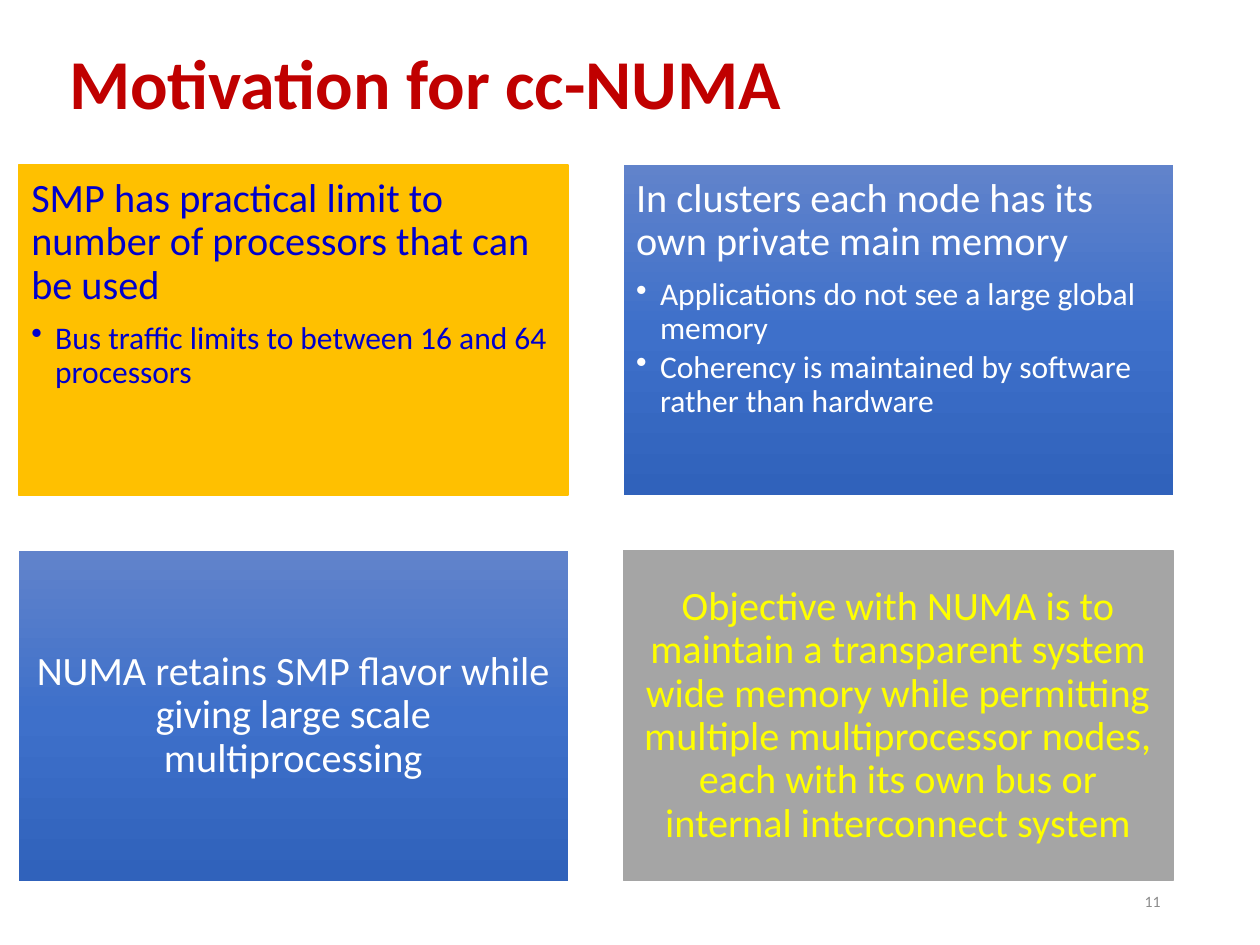
from copy import deepcopy

from lxml.etree import SubElement
from pptx import Presentation
from pptx.dml.color import RGBColor
from pptx.enum.shapes import MSO_SHAPE as Shape
from pptx.enum.text import MSO_ANCHOR as Anchor, PP_ALIGN as Align
from pptx.oxml.ns import qn
from pptx.util import Inches, Pt

BLUE_GRADIENT = ("6183CB", "3E70CA", "3062BB")


def color(hex_code):
    """Turn a hex string into a colour."""
    return RGBColor.from_string(hex_code)


def write(paragraph, text, size, ink, font="Calibri", bold=False,
          align=Align.LEFT, spacing=0.9, after=0, bullet=False):
    """Fill a paragraph with one formatted run."""
    paragraph.alignment = align
    paragraph.line_spacing = spacing
    paragraph.space_after = Pt(after)
    run = paragraph.add_run()
    run.text = text
    run.font.name, run.font.size, run.font.bold = font, Pt(size), bold
    run.font.color.rgb = color(ink)
    if bullet:
        props = paragraph._p.get_or_add_pPr()
        props.set("marL", str(Inches(0.19)))
        props.set("indent", str(-Inches(0.19)))
        SubElement(props, qn("a:buChar")).set("char", "•")


class SlideBuilder:
    """Holds the slide and its text style."""

    head_size, point_size = 23, 18

    def __init__(self, slide):
        """Keep the slide to draw on."""
        self.slide = slide

    def label(self, text, left, top, width, height, **style):
        """Add a vertically centred line of text."""
        frame = self.slide.shapes.add_textbox(
            Inches(left), Inches(top), Inches(width), Inches(height)).text_frame
        frame.word_wrap = True
        frame.vertical_anchor = Anchor.MIDDLE
        write(frame.paragraphs[0], text, **style)

    def paint(self, panel, fill):
        """Give a panel a solid colour with outline, or a vertical gradient."""
        if isinstance(fill, str):
            panel.fill.solid()
            panel.fill.fore_color.rgb = panel.line.color.rgb = color(fill)
            panel.line.width = Pt(0.75)
            return
        panel.line.fill.background()
        panel.fill.gradient()
        panel.fill.gradient_angle = 270
        stop_list = panel.element.spPr.find(qn("a:gradFill")).find(qn("a:gsLst"))
        stop_list.append(deepcopy(stop_list[0]))
        for index, (stop, tone) in enumerate(zip(panel.fill.gradient_stops, fill)):
            stop.position = index / (len(fill) - 1)
            stop.color.rgb = color(tone)

    def panel(self, left, top, width, height, fill, ink, head, points=()):
        """Add a panel: a heading with bullets, or a centred statement."""
        panel = self.slide.shapes.add_shape(
            Shape.RECTANGLE, Inches(left), Inches(top), Inches(width), Inches(height))
        panel.shadow.inherit = False
        self.paint(panel, fill)
        frame = panel.text_frame
        frame.word_wrap = True
        frame.margin_left = frame.margin_right = Inches(0.1)
        frame.margin_top = frame.margin_bottom = Inches(0.1)
        frame.vertical_anchor = Anchor.TOP if points else Anchor.MIDDLE
        write(frame.paragraphs[0], head, self.head_size, ink,
              align=Align.LEFT if points else Align.CENTER,
              after=0.35 * self.head_size)
        for point in points:
            write(frame.add_paragraph(), point, self.point_size, ink,
                  after=0.15 * self.point_size, bullet=True)


deck = Presentation()
deck.slide_width, deck.slide_height = Inches(10), Inches(7.5)
builder = SlideBuilder(deck.slides.add_slide(deck.slide_layouts[6]))

builder.label("Motivation for cc-NUMA", 0.45, 0.24, 8.26, 0.9,
              size=40, ink="C00000", bold=True)
builder.label("11", 7.06, 6.95, 2.25, 0.4,
              size=9, ink="8C8C8C", align=Align.RIGHT, spacing=1.0)

motives = [
    ("FFC000", "0000CC",
     "SMP has practical limit to number of processors that can be used",
     ["Bus traffic limits to between 16 and 64 processors"]),
    (BLUE_GRADIENT, "FFFFFF",
     "In clusters each node has its own private main memory",
     ["Applications do not see a large global memory",
      "Coherency is maintained by software rather than hardware"]),
    (BLUE_GRADIENT, "FFFFFF",
     "NUMA retains SMP flavor while giving large scale multiprocessing"),
    ("A5A5A5", "FFFF00",
     "Objective with NUMA is to maintain a transparent system wide memory "
     "while permitting multiple multiprocessor nodes, each with its own bus "
     "or internal interconnect system"),
]
panel_width, panel_height, gap = 4.36, 2.62, 0.44
for index, motive in enumerate(motives):
    row, column = divmod(index, 2)
    builder.panel(0.15 + column * (panel_width + gap),
                  1.31 + row * (panel_height + gap),
                  panel_width, panel_height, *motive)

deck.save("out.pptx")
